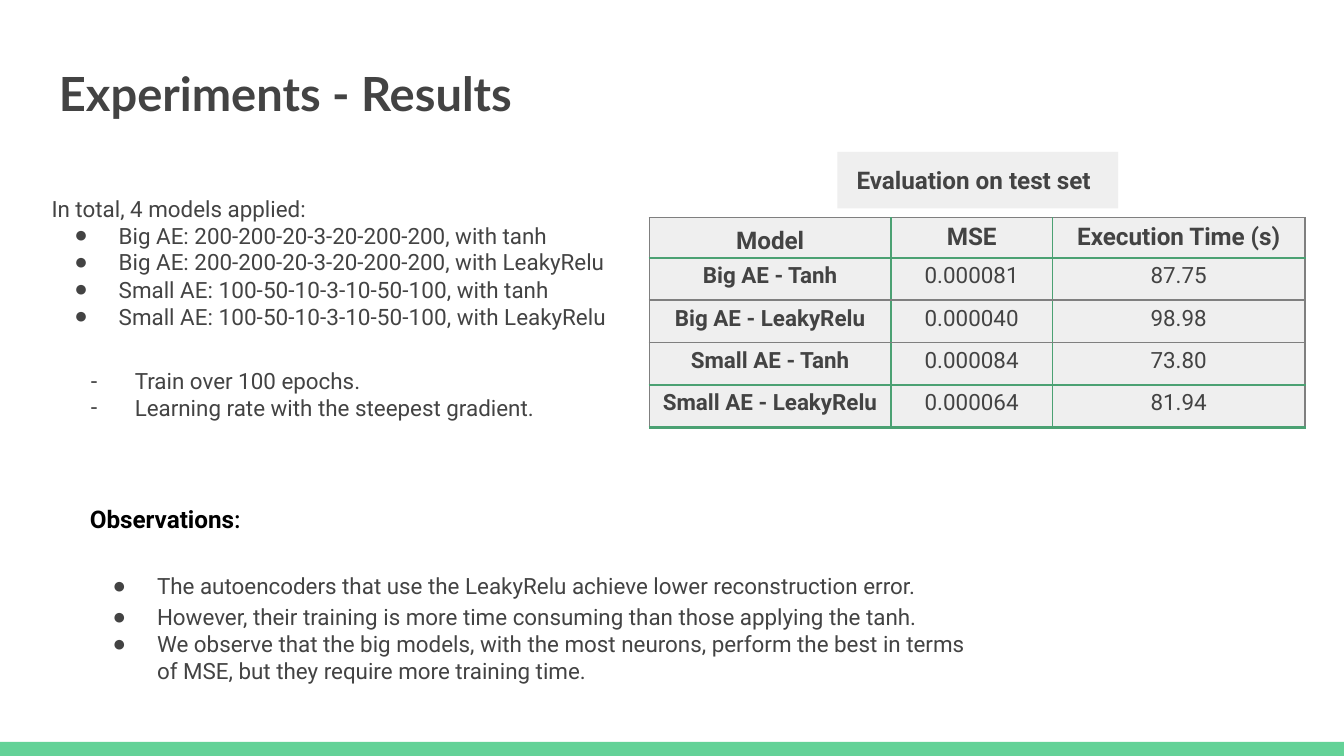
from lxml.etree import SubElement
from pptx import Presentation
from pptx.dml.color import RGBColor
from pptx.enum.shapes import MSO_SHAPE
from pptx.enum.text import MSO_ANCHOR, PP_ALIGN
from pptx.oxml.ns import qn
from pptx.util import Inches, Pt

# Grid: 100 columns by 56.25 rows
UNIT = Inches(0.1)
INK, PALE, GREEN, GREY = "434343", "EFEFEF", "4BA173", "7F7F7F"
hue = RGBColor.from_string

deck = Presentation()
deck.slide_width, deck.slide_height = 100 * UNIT, int(56.25 * UNIT)
slide = deck.slides.add_slide(deck.slide_layouts[6])


def box(*cells, fill=None):
    """Add a text box, or a filled bar, at grid cells; return its text frame."""
    area = [round(c * UNIT) for c in cells]
    if fill:
        shape = slide.shapes.add_shape(MSO_SHAPE.RECTANGLE, *area)
        shape.shadow.inherit = False
        shape.fill.solid()
        shape.fill.fore_color.rgb = hue(fill)
        shape.line.fill.background()
    else:
        shape = slide.shapes.add_textbox(*area)
    frame = shape.text_frame
    frame.word_wrap = True
    frame.vertical_anchor = MSO_ANCHOR.TOP
    frame.margin_left = frame.margin_right = UNIT
    frame.margin_top = frame.margin_bottom = UNIT
    return frame


def put(frame, text, size=12, font="Roboto", color=INK, bold=False,
        align=PP_ALIGN.LEFT, space=1.0, mark=None, more=False):
    """Write a paragraph, or with more=True a further run in the last one."""
    para = frame.paragraphs[-1]
    if para.runs and not more:
        para = frame.add_paragraph()
    if not more:
        para.alignment, para.line_spacing = align, space
    if mark:
        props = para._p.get_or_add_pPr()
        props.set("marL", str(Inches(0.5)))
        props.set("indent", str(Inches(-0.33)))
        tint = SubElement(props, qn("a:buClr"))
        SubElement(tint, qn("a:srgbClr"), val=INK)
        SubElement(props, qn("a:buFont"), typeface="Arial")
        SubElement(props, qn("a:buChar"), char=mark)
    run = para.add_run()
    run.text = text
    run.font.size, run.font.name, run.font.bold = Pt(size), font, bold
    run.font.color.rgb = hue(color)


# Footer bar and title
box(0, 55.2, 100, 1.05, fill="63D297")
put(box(3.4, 3.8, 93.2, 6.3), "Experiments - Results",
    size=25.2, font="Lato", bold=True)

# Models
models = box(2.85, 12.5, 47.2, 16.3)
put(models, "In total, 4 models applied:", space=1.5)
for name, layers, size in (("Big", "200-200-20-3-20-200-200", 12),
                           ("Small", "100-50-10-3-10-50-100", 12.1)):
    for act in ("tanh", "LeakyRelu"):
        if size == 12:
            put(models, f"{name} AE: {layers}, with {act}", mark="●")
        else:
            put(models, f"{name} AE: ", mark="●")
            put(models, layers, size=size, more=True)
            put(models, f", with {act}", more=True)

# Results table
rows = [("Model", "MSE", "Execution Time (s)"),
        ("Big AE - Tanh", "0.000081", "87.75"),
        ("Big AE - LeakyRelu", "0.000040", "98.98"),
        ("Small AE - Tanh", "0.000084", "73.80"),
        ("Small AE - LeakyRelu", "0.000064", "81.94")]
wide, high = (18, 12, 18.8), (2.98, 3.15, 3.15, 3.15, 3.2)
area = [round(c * UNIT) for c in (48.3, 16.2, sum(wide), sum(high))]
table = slide.shapes.add_table(len(rows), len(wide), *area).table
for col, w in zip(table.columns, wide):
    col.width = round(w * UNIT)
for row, h in zip(table.rows, high):
    row.height = round(h * UNIT)

# Rules between rows and columns, from the outer edge inwards
thin, thick, inner = (GREY, 0.75), (GREEN, 1.5), (GREEN, 0.75)
flat = (thin, thick, thin, thin, thick, thick)
tall = (thin, inner, inner, thin)
for r, row in enumerate(rows):
    for c, text in enumerate(row):
        cell = table.cell(r, c)
        cell.margin_left = cell.margin_right = cell.margin_bottom = 0
        cell.margin_top = Inches(0.04)
        put(cell.text_frame, text, size=12 if r else 13,
            bold=r == 0 or c == 0, align=PP_ALIGN.CENTER,
            space=1.0 if r or c else 1.15)
        props = cell._tc.get_or_add_tcPr()
        for tag, (color, width) in (("lnL", tall[c]), ("lnR", tall[c + 1]),
                                    ("lnT", flat[r]), ("lnB", flat[r + 1])):
            line = SubElement(props, qn(f"a:{tag}"), w=str(Pt(width)))
            paint = SubElement(line, qn("a:solidFill"))
            SubElement(paint, qn("a:srgbClr"), val=color)
        cell.fill.solid()
        cell.fill.fore_color.rgb = hue(PALE)

# Table label
put(box(62.3, 11.3, 20.9, 4.2, fill=PALE), " Evaluation on test set",
    size=13, bold=True)

# Training notes
notes = box(4.05, 26.3, 40.4, 6.1)
for text in ("Train over 100 epochs.",
             "Learning rate with the steepest gradient."):
    put(notes, text, mark="-")

# Observations
head = box(5.7, 36.4, 80.9, 6.7)
put(head, "Observations", size=13, color="000000", bold=True)
put(head, ":", size=14, font="Lato", color="000000", more=True)
points = box(5.7, 41.3, 68.2, 10.7)
for text, space in (
        ("The autoencoders that use the LeakyRelu achieve lower "
         "reconstruction error.", 1.15),
        ("However, their training is more time consuming than those "
         "applying the tanh.", 1.15),
        ("We observe that the big models, with the most neurons, perform "
         "the best in terms of MSE, but they require more training time.",
         1.0)):
    put(points, text, space=space, mark="●")

deck.save("out.pptx")
